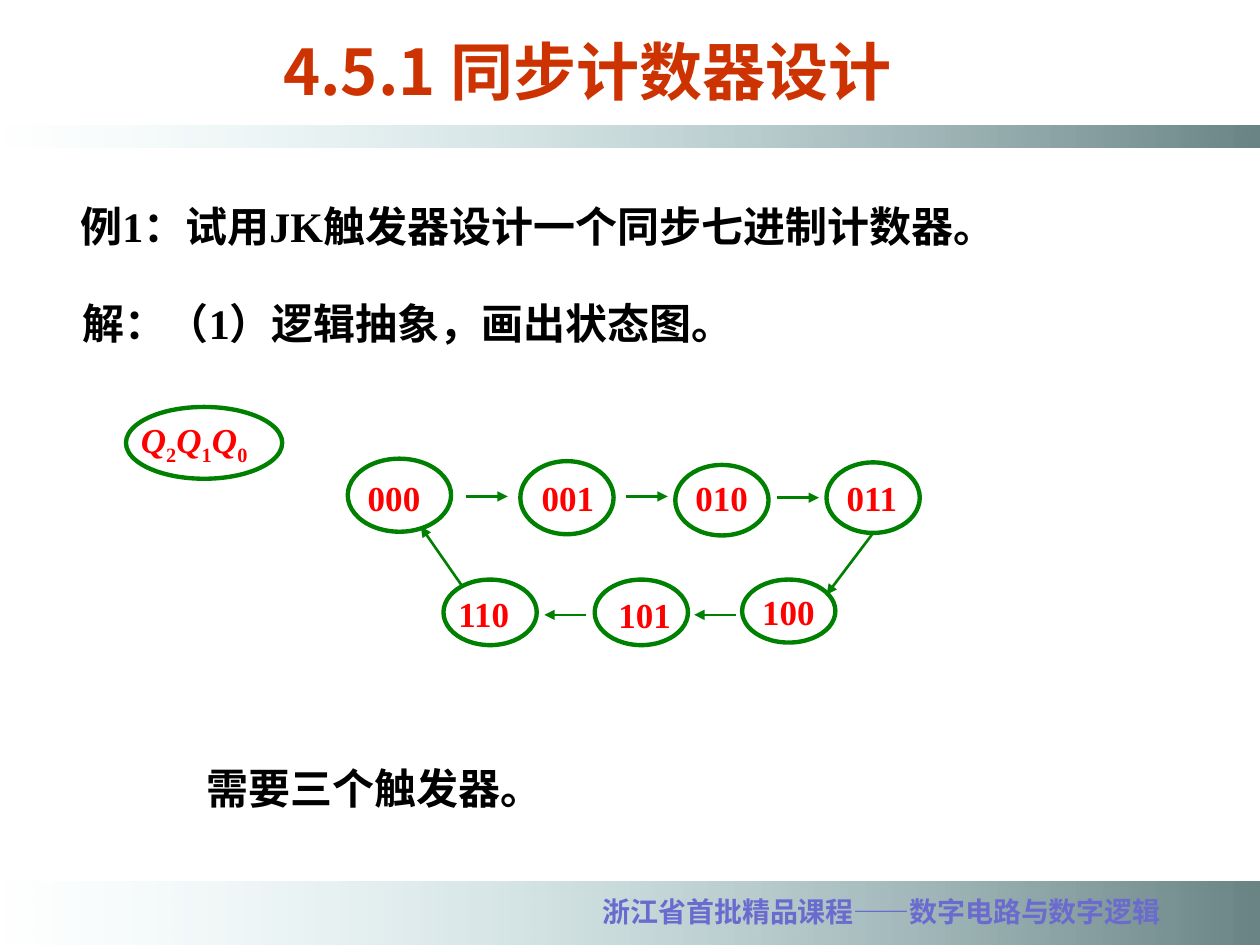
"""Build the slide on synchronous counter design with its state diagram."""
import pptx
import pptx.dml.color
import pptx.enum.shapes
import pptx.enum.text
import pptx.oxml.ns
import pptx.util
from lxml import etree
from pptx.util import Inches

COLORS = {"bar": "6A8486", "bar_fade": "B8E3E6", "footer": "6B6BCF", "title": "CC3300",
          "body": "000000", "state": "FF0000", "outline": "008000"}
RGB = {part: pptx.dml.color.RGBColor.from_string(value) for part, value in COLORS.items()}
SANS, SERIF = "Noto Sans CJK SC", "Times New Roman"
ALIGN = pptx.enum.text.PP_ALIGN
SHAPE = pptx.enum.shapes.MSO_SHAPE
qn = pptx.oxml.ns.qn


def add_text(shapes, box, runs, size, color, face=SERIF, align=ALIGN.JUSTIFY):
    label = shapes.add_textbox(*map(Inches, box))
    label.text_frame.word_wrap = True
    paragraph = label.text_frame.paragraphs[0]
    paragraph.alignment = align
    paragraph.font.size = pptx.util.Pt(size)
    paragraph.font.bold = True
    paragraph.font.color.rgb = RGB[color]
    paragraph.font.name = face
    etree.SubElement(paragraph.font._element, qn("a:ea"), typeface=SANS)
    for text in runs:
        paragraph.add_run().text = text
    return label.text_frame


def add_ellipse(shapes, box):
    ellipse = shapes.add_shape(SHAPE.OVAL, *map(Inches, box))
    ellipse.shadow.inherit = False
    ellipse.fill.background()
    ellipse.line.color.rgb = RGB["outline"]
    ellipse.line.width = pptx.util.Pt(2.5)


deck = pptx.Presentation()
deck.slide_width, deck.slide_height = Inches(10), Inches(7.5)
slide = deck.slides.add_slide(deck.slide_layouts[6])

for top, height in [(7, 0.5), (1, 0.17)]:
    bar = slide.shapes.add_shape(SHAPE.RECTANGLE, 0, Inches(top), Inches(10), Inches(height))
    bar.shadow.inherit = False
    bar.line.fill.background()
    bar.fill.gradient()
    bar.fill.gradient_angle = 180
    for stop, color in zip(bar.fill.gradient_stops, ["bar", "bar_fade"]):
        stop.color.rgb = RGB[color]
    faded = bar._element.spPr.findall(".//" + qn("a:srgbClr"))[-1]
    etree.SubElement(faded, qn("a:alpha"), val="0")

add_text(slide.shapes, (4.5, 7.05, 5, 0.37), ["浙江省首批精品课程——数字电路与数字逻辑"],
         16, "footer", SANS, ALIGN.CENTER)
title = add_text(slide.shapes, (1.74, 0.25, 5.84, 0.61), ["4.5.1 同步计数器设计"],
                 36, "title", SANS, ALIGN.CENTER)
title.vertical_anchor = pptx.enum.text.MSO_ANCHOR.MIDDLE

for left, top, width, sentence in [
    (0.54, 1.54, 7.79, "例1：试用JK触发器设计一个同步七进制计数器。"),
    (0.56, 2.31, 6.17, "解：（1）逻辑抽象，画出状态图。"),
    (1.54, 6, 3.81, "需要三个触发器。"),
]:
    add_text(slide.shapes, (left, top, width, 0.5), [sentence], 24, "body")

legend = slide.shapes.add_group_shape().shapes
add_ellipse(legend, (1, 3.23, 1.24, 0.57))
variables = add_text(legend, (1.02, 3.27, 1.23, 0.51), "Q2Q1Q0", 20, "state")
for run in variables.paragraphs[0].runs:
    if run.text == "Q":
        run.font.italic = True
    else:
        run.font._element.set("baseline", "-25000")

for code, text_left, text_top, outline in [
    ("000", 2.82, 3.73, (2.76, 3.64, 0.82, 0.58)),
    ("001", 4.2, 3.73, (4.13, 3.66, 0.74, 0.58)),
    ("010", 5.42, 3.73, (5.36, 3.69, 0.74, 0.56)),
    ("011", 6.62, 3.73, (6.56, 3.67, 0.74, 0.56)),
    ("100", 5.95, 4.64, (5.89, 4.6, 0.74, 0.5)),
    ("101", 4.81, 4.66, (4.72, 4.6, 0.74, 0.52)),
    ("110", 3.54, 4.65, (3.52, 4.6, 0.74, 0.52)),
]:
    state = slide.shapes.add_group_shape().shapes
    add_text(state, (text_left, text_top, 0.68, 0.37), [code], 20, "state")
    add_ellipse(state, outline)

for ends in [
    (3.7, 3.94, 4.03, 3.94),
    (4.97, 3.94, 5.3, 3.94),
    (6.17, 3.95, 6.5, 3.95),
    (6.93, 4.23, 6.56, 4.72),
    (5.84, 4.88, 5.51, 4.88),
    (4.65, 4.88, 4.32, 4.88),
    (3.66, 4.64, 3.34, 4.18),
]:
    transition = slide.shapes.add_connector(
        pptx.enum.shapes.MSO_CONNECTOR.STRAIGHT, *map(Inches, ends))
    transition.line.color.rgb = RGB["outline"]
    transition.line.width = pptx.util.Pt(1.5)
    etree.SubElement(transition.line._get_or_add_ln(), qn("a:tailEnd"), type="triangle")
    etree.SubElement(transition._element.spPr, qn("a:effectLst"))

deck.save("out.pptx")
